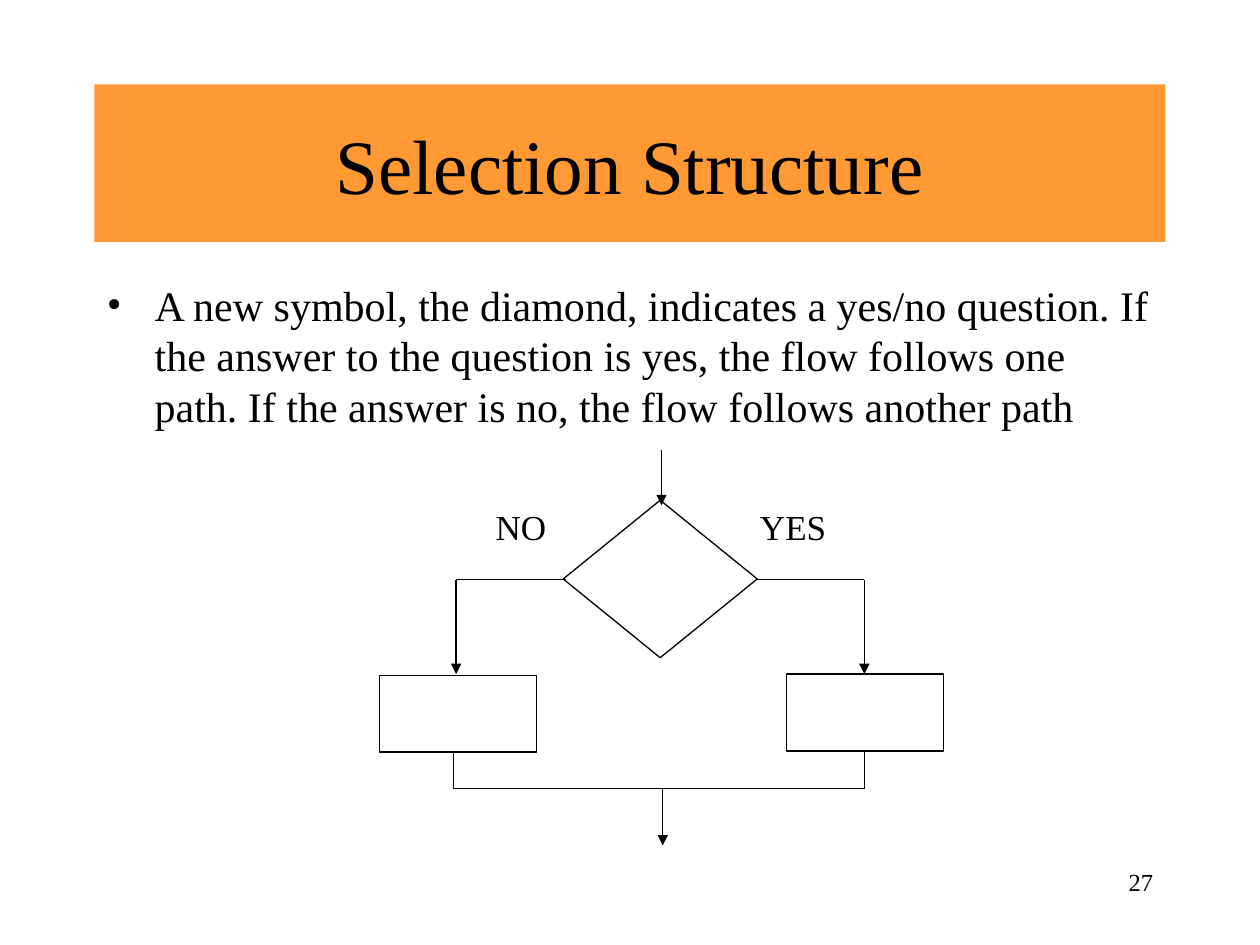
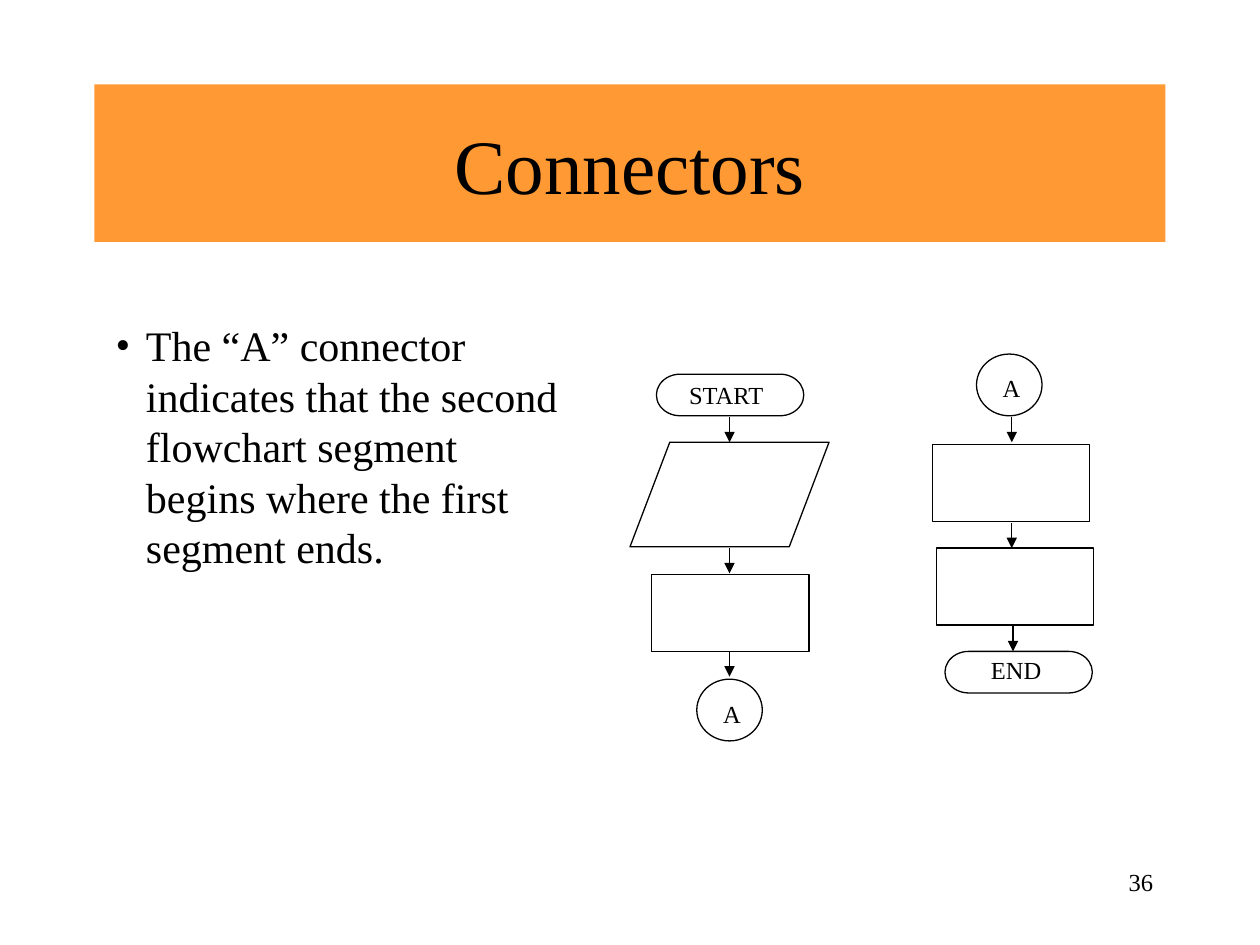
import pptx
import pptx.util
import pptx.dml.color
import pptx.enum.shapes
import pptx.enum.text
import pptx.oxml.ns
import lxml.etree

Inches = pptx.util.Inches
SHAPE = pptx.enum.shapes.MSO_SHAPE
ALIGN = pptx.enum.text.PP_ALIGN
ANCHOR = pptx.enum.text.MSO_ANCHOR
qn = pptx.oxml.ns.qn

# Shared look
BLACK, ORANGE = "000000", "FF9933"
FONT = "Times New Roman"
TITLE_BOX = (0.75, 0.67, 8.5, 1.25)
NUMBER_BOX = (7.17, 6.83, 2.08, 0.5)
PROCESS = (1.25, 0.61)
TERMINAL = (1.17, 0.33)
CIRCLE = (0.52, 0.49)


def rgb(value):
    return pptx.dml.color.RGBColor.from_string(value)


def add_text(s, box, text, size, align=ALIGN.LEFT, hang=0, fill=None):
    sp = s.shapes.add_textbox(*map(Inches, box))
    if fill:
        sp.fill.solid()
        sp.fill.fore_color.rgb = rgb(fill)
    tf = sp.text_frame
    tf.word_wrap = True
    tf.vertical_anchor = ANCHOR.MIDDLE if fill else ANCHOR.TOP
    p = tf.paragraphs[0]
    p.alignment = align
    if hang:
        pPr = p._p.get_or_add_pPr()
        pPr.set("marL", str(Inches(hang)))
        pPr.set("indent", str(-Inches(hang)))
        lxml.etree.SubElement(pPr, qn("a:buFont"), typeface=FONT)
        lxml.etree.SubElement(pPr, qn("a:buChar"), char="•")
    r = p.add_run()
    r.text = text
    for name, value in {"name": FONT, "size": pptx.util.Pt(size)}.items():
        setattr(r.font, name, value)
    r.font.color.rgb = rgb(BLACK)


# Each slide: body is (box, text, hang); lines are (x1, y1, x2, y2, arrow);
# labels are (box, text, size, alignment)
selection = {
    "title": "Selection Structure",
    "number": "27",
    "body": ((0.75, 2.17, 8.5, 4.5),
             "A new symbol, the diamond, indicates a yes/no question. If the "
             "answer to the question is yes, the flow follows one path. If the "
             "answer is no, the flow follows another path", 0.38),
    "shapes": [
        (SHAPE.RECTANGLE, 3.01, 5.36, *PROCESS),
        (SHAPE.FLOWCHART_DECISION, 4.47, 3.97, 1.54, 1.25),
        (SHAPE.RECTANGLE, 6.24, 5.35, *PROCESS),
    ],
    "lines": [
        (5.25, 3.57, 5.25, 4.01, True),
        (4.49, 4.6, 3.62, 4.6, False),
        (3.62, 4.6, 3.62, 5.35, True),
        (6.86, 4.6, 6, 4.6, False),
        (6.86, 4.6, 6.86, 5.35, True),
        (3.6, 5.97, 3.6, 6.26, False),
        (6.86, 5.97, 6.86, 6.26, False),
        (6.86, 6.26, 3.6, 6.26, False),
        (5.26, 6.26, 5.26, 6.71, True),
    ],
    "labels": [
        ((3.72, 3.96, 0.83, 0.44), "NO", 20, ALIGN.CENTER),
        ((5.88, 3.96, 0.83, 0.44), "YES", 20, ALIGN.CENTER),
    ],
}

step_arrows = [(5.79, 3.31), (5.79, 4.35), (5.79, 5.17),
               (8.03, 3.31), (8.03, 4.15), (8.04, 4.97)]
connectors = {
    "title": "Connectors",
    "number": "36",
    "body": ((0.82, 2.49, 3.81, 2.1),
             "The “A” connector indicates that the second flowchart segment "
             "begins where the first segment ends.", 0.24),
    "shapes": [
        # First segment
        (SHAPE.FLOWCHART_TERMINATOR, 5.21, 2.97, *TERMINAL),
        (SHAPE.FLOWCHART_DATA, 5, 3.51, 1.58, 0.83),
        (SHAPE.RECTANGLE, 5.17, 4.56, *PROCESS),
        (SHAPE.FLOWCHART_CONNECTOR, 5.53, 5.39, *CIRCLE),
        # Second segment
        (SHAPE.FLOWCHART_CONNECTOR, 7.75, 2.81, *CIRCLE),
        (SHAPE.RECTANGLE, 7.4, 3.53, *PROCESS),
        (SHAPE.RECTANGLE, 7.43, 4.35, *PROCESS),
        (SHAPE.FLOWCHART_TERMINATOR, 7.5, 5.17, *TERMINAL),
    ],
    "lines": [(x, y, x, y + 0.2, True) for x, y in step_arrows],
    "labels": [
        ((5.37, 2.97, 0.85, 0.34), "START", 14, ALIGN.LEFT),
        ((5.64, 5.5, 0.26, 0.34), "A", 14, ALIGN.LEFT),
        ((7.86, 2.91, 0.26, 0.34), "A", 14, ALIGN.LEFT),
        ((7.64, 5.15, 0.85, 0.34), "END", 14, ALIGN.CENTER),
    ],
}

prs = pptx.Presentation()
prs.slide_width, prs.slide_height = Inches(10), Inches(7.5)

for content in (selection, connectors):
    s = prs.slides.add_slide(prs.slide_layouts[6])

    # Title band, slide number and body
    add_text(s, TITLE_BOX, content["title"], 44, ALIGN.CENTER, fill=ORANGE)
    add_text(s, NUMBER_BOX, content["number"], 14, ALIGN.RIGHT)
    box, text, hang = content["body"]
    add_text(s, box, text, 24, hang=hang)

    # Flowchart symbols
    for kind, *box in content["shapes"]:
        sp = s.shapes.add_shape(kind, *map(Inches, box))
        sp.shadow.inherit = False
        sp.fill.background()
        sp.line.color.rgb = rgb(BLACK)
        sp.line.width = pptx.util.Pt(0.75)

    # Flow lines
    for *ends, arrow in content["lines"]:
        sp = s.shapes.add_connector(
            pptx.enum.shapes.MSO_CONNECTOR.STRAIGHT, *map(Inches, ends))
        sp.line.color.rgb = rgb(BLACK)
        sp.line.width = pptx.util.Pt(0.75)
        if arrow:
            lxml.etree.SubElement(sp.line._get_or_add_ln(), qn("a:tailEnd"),
                                  type="triangle")
        lxml.etree.SubElement(sp._element.spPr, qn("a:effectLst"))

    # Flowchart labels
    for label in content["labels"]:
        add_text(s, *label)

prs.save("out.pptx")
